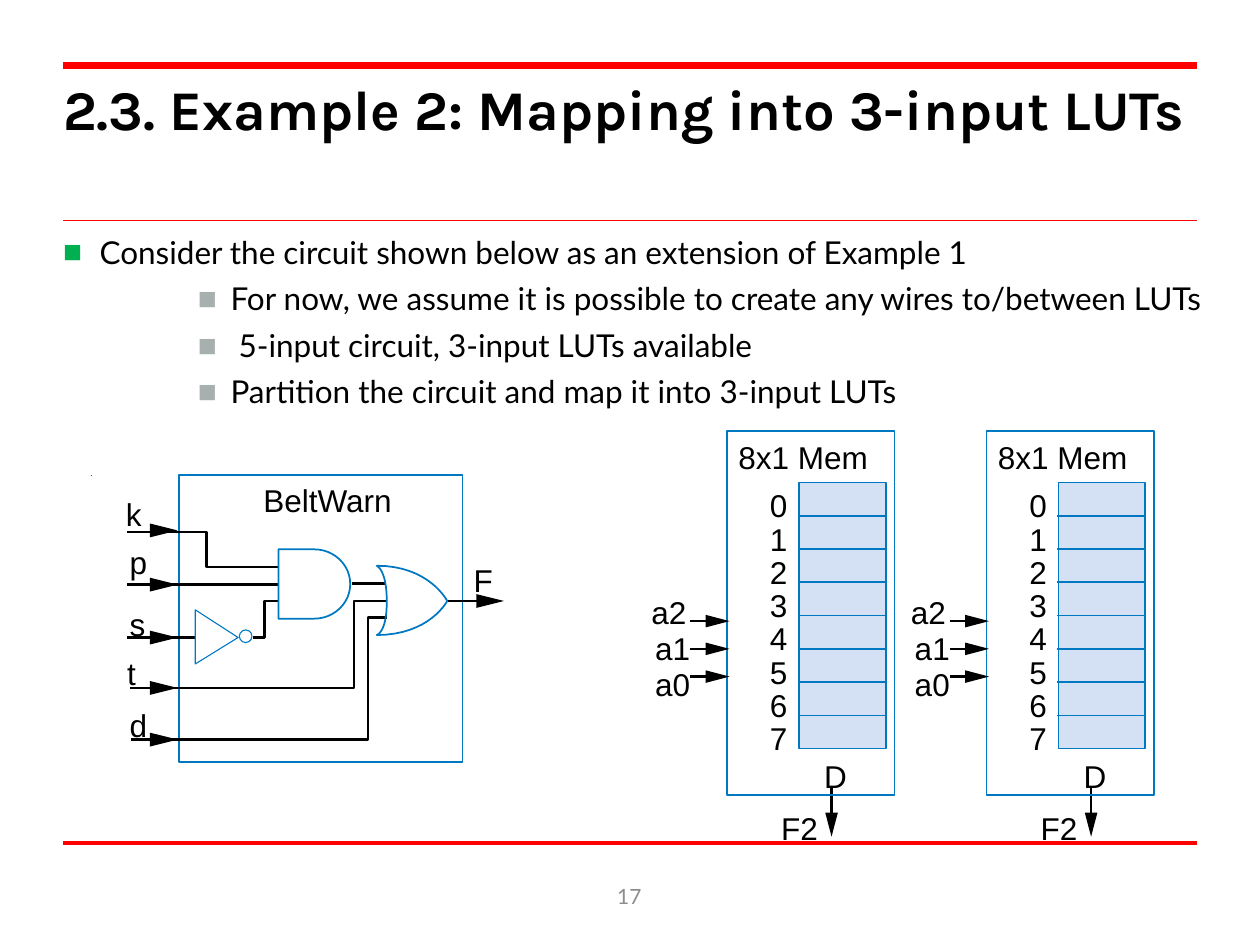
from lxml import etree
from pptx import Presentation
from pptx.dml.color import RGBColor
from pptx.enum.shapes import MSO_CONNECTOR, MSO_SHAPE
from pptx.enum.text import MSO_ANCHOR, MSO_AUTO_SIZE, PP_ALIGN
from pptx.oxml.ns import qn
from pptx.util import Inches, Pt

STRAIGHT = MSO_CONNECTOR.STRAIGHT
RECT, OVAL, GATE = MSO_SHAPE.RECTANGLE, MSO_SHAPE.OVAL, MSO_SHAPE.FLOWCHART_DELAY
TOP, MIDDLE = MSO_ANCHOR.TOP, MSO_ANCHOR.MIDDLE
LEFT, CENTER = PP_ALIGN.LEFT, PP_ALIGN.CENTER
FIXED, GROW = MSO_AUTO_SIZE.NONE, MSO_AUTO_SIZE.SHAPE_TO_FIT_TEXT
RED, BLUE, PALE, BLACK, WHITE = "FF0000", "0078C1", "D4E0F3", "000000", "FFFFFF"
GREEN, SILVER, GRAY = "00B050", "A8AFAF", "8C8C8C"
WIRE = 1.38

TITLE = "2.3. Example 2: Mapping into 3-input LUTs"
ITEMS = [
    (0, "Consider the circuit shown below as an extension of Example 1"),
    (1, "For now, we assume it is possible to create any wires to/between LUTs"),
    (1, " 5-input circuit, 3-input LUTs available"),
    (1, "Partition the circuit and map it into 3-input LUTs"),
]
LEVELS = [(0.29, 0.29, GREEN), (1.33, 0.26, SILVER)]
RULES = [(0.52, 4), (1.75, 1), (6.69, 2.5)]
LABELS = [
    ("k", 1, 3.93, 0.13), ("p", 1.03, 4.31, 0.14), ("s", 1.03, 4.8, 0.13),
    ("t", 1.01, 5.19, 0.07), ("d", 1.03, 5.6, 0.14), ("F", 3.76, 4.45, 0.15),
    ("BeltWarn", 2.09, 3.82, 1.03),
]
INPUTS = [4.21, 4.64, 5.06, 5.46, 5.87]
WIRES = [
    [(2.21, 4.5), (1.64, 4.5), (1.64, 4.22), (1.01, 4.22)],
    [(2.01, 5.06), (2.1, 5.06), (2.1, 4.77), (2.21, 4.77)],
    [(3.07, 4.77), (2.81, 4.77), (2.81, 5.46), (1.03, 5.46)],
    [(3.07, 4.9), (2.92, 4.9), (2.92, 5.87), (1.04, 5.87)],
]
LINKS = [(1.01, 4.64, 2.21), (1.01, 5.06, 1.55), (2.79, 4.63, 3.06), (3.55, 4.77, 3.9)]
OR_CURVES = [
    [(3.55, 4.77), (3.55, 4.77), (3.41, 5.04), (2.99, 5.04)],
    [(2.99, 5.04), (2.99, 5.04), (3.07, 5.02), (3.07, 4.78)],
    [(3.07, 4.77), (3.07, 4.52), (2.99, 4.49), (2.99, 4.49)],
    [(2.99, 4.49), (3.41, 4.49), (3.55, 4.77), (3.55, 4.77)],
]
MEMS = [5.77, 7.83]
MEM_TEXT = [("8x1 Mem", 0.09, 3.48, 1.11), ("D", 0.77, 6.01, 0.18), ("F2", 0.43, 6.42, 0.32),
            ("a2", -0.6, 4.71, 0.28), ("a1", -0.57, 4.99, 0.28), ("a0", -0.57, 5.28, 0.28)]
ADDRESS = [4.93, 5.15, 5.37]
CELLS, CELL_TOP, CELL_H = 8, 3.83, 0.264


def tint(color):
    return RGBColor.from_string(color)


def style(font, name, size, color=BLACK, bold=False):
    font.name, font.size, font.bold = name, Pt(size), bold
    font.color.rgb = tint(color)


def paint(shape, fill, line, width):
    shape.shadow.inherit = False
    if fill:
        shape.fill.solid()
        shape.fill.fore_color.rgb = tint(fill)
    else:
        shape.fill.background()
    if line:
        shape.line.color.rgb = tint(line)
        shape.line.width = Pt(width)
    else:
        shape.line.fill.background()


def add_line(shapes, x1, y1, x2, y2, color=BLACK, width=WIRE):
    line = shapes.add_connector(STRAIGHT, *map(Inches, (x1, y1, x2, y2)))
    line.line.color.rgb = tint(color)
    line.line.width = Pt(width)
    etree.SubElement(line._element.spPr, qn("a:effectLst"))


def add_form(shapes, kind, box, fill=None, width=1):
    paint(shapes.add_shape(kind, *map(Inches, box)), fill, BLUE, width)


def add_path(shapes, points, fill=None, line=None, width=1, close=True):
    spots = [(Inches(x), Inches(y)) for x, y in points]
    maker = shapes.build_freeform(*spots[0])
    maker.add_line_segments(spots[1:], close=close)
    paint(maker.convert_to_shape(), fill, line, width)


def add_head(shapes, x, y, size, half, down=False):
    ends = [(-half, -size), (half, -size)] if down else [(-size, -half), (-size, half)]
    add_path(shapes, [(x, y)] + [(x + dx, y + dy) for dx, dy in ends], BLACK)


def add_label(shapes, text, x, y, width):
    frame = shapes.add_textbox(*map(Inches, (x, y, width, 0.3))).text_frame
    clear(frame)
    frame.word_wrap, frame.auto_size = False, GROW
    frame.text = text
    style(frame.paragraphs[0].runs[0].font, "Arial", 18)


def clear(frame):
    frame.margin_left = frame.margin_right = frame.margin_top = frame.margin_bottom = 0


def place(holder, box):
    holder.left, holder.top, holder.width, holder.height = map(Inches, box)
    frame = holder.text_frame
    clear(frame)
    frame.word_wrap, frame.auto_size, frame.vertical_anchor = True, FIXED, TOP
    return frame


def set_bullet(para, level):
    margin, hang, color = LEVELS[level]
    props = para._p.get_or_add_pPr()
    props.set("marL", str(Inches(margin)))
    props.set("indent", str(-Inches(hang)))
    tone = etree.SubElement(props, qn("a:buClr"))
    etree.SubElement(tone, qn("a:srgbClr"), val=color)
    etree.SubElement(props, qn("a:buFont"), typeface="Arial")
    etree.SubElement(props, qn("a:buChar"), char="■")


def bezier(curve, steps=16):
    (ax, ay), (bx, by), (cx, cy), (dx, dy) = curve
    for i in range(steps + 1):
        t = i / steps
        u = 1 - t
        w = (u ** 3, 3 * u * u * t, 3 * u * t * t, t ** 3)
        yield (w[0] * ax + w[1] * bx + w[2] * cx + w[3] * dx,
               w[0] * ay + w[1] * by + w[2] * cy + w[3] * dy)


def add_text(slide):
    frame = place(slide.shapes.title, (0.5, 0.59, 8.99, 1))
    frame.text = TITLE
    frame.paragraphs[0].alignment = LEFT
    style(frame.paragraphs[0].runs[0].font, "Karla", 32, bold=True)
    frame = place(slide.placeholders[1], (0.5, 1.88, 9.16, 1.43))
    for i, (level, text) in enumerate(ITEMS):
        para = frame.add_paragraph() if i else frame.paragraphs[0]
        para.text, para.level = text, level
        set_bullet(para, level)
        para.line_spacing, para.space_before, para.space_after = 0.9, Pt(0), Pt(7.2)
        style(para.runs[0].font, "Lato", 18)
    frame = slide.shapes.add_textbox(*map(Inches, (3.83, 6.91, 2.33, 0.4))).text_frame
    frame.word_wrap, frame.vertical_anchor, frame.text = True, MIDDLE, "17"
    frame.paragraphs[0].alignment = CENTER
    style(frame.paragraphs[0].runs[0].font, "Lato", 12, GRAY)


def add_circuit(shapes):
    add_form(shapes, RECT, (1.42, 3.77, 2.25, 2.28))
    for wire in WIRES:
        add_path(shapes, wire, line=BLACK, width=WIRE, close=False)
    for x1, y, x2 in LINKS:
        add_line(shapes, x1, y, x2, y)
    for x, y in [(1.41, y) for y in INPUTS] + [(4, 4.77)]:
        add_head(shapes, x, y, 0.22, 0.055)
    add_form(shapes, GATE, (2.21, 4.36, 0.57, 0.55), WHITE)
    add_path(shapes, [(1.55, 5.27), (1.89, 5.06), (1.55, 4.84)], WHITE, BLUE, 0.63)
    add_form(shapes, OVAL, (1.9, 5, 0.1, 0.1), WHITE, 0.63)
    add_path(shapes, [spot for curve in OR_CURVES for spot in bezier(curve)], line=BLUE)
    add_line(shapes, 0.72, 3.77, 0.73, 3.77, BLUE, 0.25)
    for label in LABELS:
        add_label(shapes, *label)


def add_memory(shapes, x):
    add_line(shapes, x + 0.83, 6.25, x + 0.83, 6.56)
    add_form(shapes, RECT, (x, 3.42, 1.33, 2.89))
    add_head(shapes, x + 0.83, 6.64, 0.19, 0.05, down=True)
    add_form(shapes, RECT, (x + 0.57, CELL_TOP, 0.69, CELLS * CELL_H), PALE)
    for i in range(CELLS):
        y = CELL_TOP + i * CELL_H
        if i:
            add_line(shapes, x + 0.56, y, x + 1.26, y, BLUE, 1)
        add_label(shapes, str(i), x + 0.34, y + 0.03, 0.14)
    for y in ADDRESS:
        add_line(shapes, x - 0.29, y, x - 0.07, y)
        add_head(shapes, x + 0.02, y, 0.19, 0.05)
    for text, dx, y, width in MEM_TEXT:
        add_label(shapes, text, x + dx, y, width)


def main():
    """Build the slide on mapping a circuit into 3-input LUTs."""
    deck = Presentation()
    deck.slide_width, deck.slide_height = Inches(10), Inches(7.5)
    slide = deck.slides.add_slide(deck.slide_layouts[1])
    for y, width in RULES:
        add_line(slide.shapes, 0.5, y, 9.5, y, RED, width)
    add_text(slide)
    add_circuit(slide.shapes)
    for x in MEMS:
        add_memory(slide.shapes, x)
    deck.save("out.pptx")


if __name__ == "__main__":
    main()
